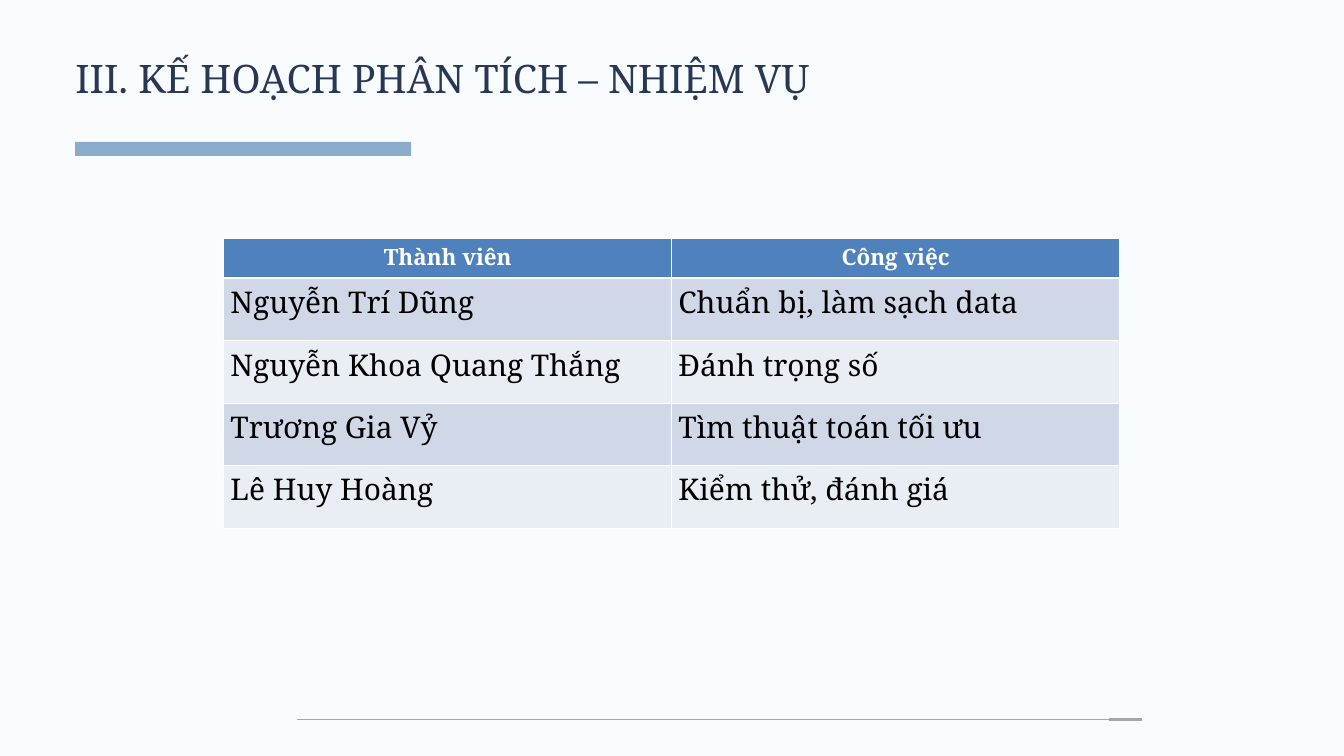
from dataclasses import dataclass

from lxml import etree
from pptx import Presentation
from pptx.dml.color import RGBColor
from pptx.enum.shapes import MSO_CONNECTOR, MSO_SHAPE
from pptx.enum.text import MSO_ANCHOR, MSO_AUTO_SIZE, PP_ALIGN
from pptx.oxml.ns import qn
from pptx.util import Inches, Pt

RECT = MSO_SHAPE.RECTANGLE
STRAIGHT = MSO_CONNECTOR.STRAIGHT
TOP = MSO_ANCHOR.TOP
GROW = MSO_AUTO_SIZE.SHAPE_TO_FIT_TEXT
LEFT, CENTER = PP_ALIGN.LEFT, PP_ALIGN.CENTER


@dataclass(frozen=True)
class Theme:
    font: str = "Noto Serif"
    back: str = "F9FCFF"
    navy: str = "273755"
    bar: str = "8AABCA"
    rule: str = "A6A6A6"
    head: str = "4F81BD"
    bands: tuple = ("D0D8E8", "E9EDF4")
    white: str = "FFFFFF"
    black: str = "000000"
    title_size: float = 42
    head_size: float = 24
    cell_size: float = 32


def rgb(code):
    return RGBColor.from_string(code)


def write(frame, text, font, size, color, bold=False, align=LEFT, space=None):
    para = frame.paragraphs[0]
    para.alignment = align
    if space:
        para.line_spacing = Pt(space)
    run = para.add_run()
    run.text = text
    run.font.name = font
    run.font.size = Pt(size)
    run.font.bold = bold
    run.font.color.rgb = rgb(color)


def border(cell, color, **widths):
    props = cell._tc.get_or_add_tcPr()
    for side, width in widths.items():
        line = etree.SubElement(props, qn(f"a:ln{side}"), w=str(Pt(width)))
        fill = etree.SubElement(line, qn("a:solidFill"))
        etree.SubElement(fill, qn("a:srgbClr"), val=color)


class Deck:
    def __init__(self, theme):
        self.theme = theme
        self.file = Presentation()
        self.file.slide_width = Inches(20)
        self.file.slide_height = Inches(11.25)
        self.slide = self.file.slides.add_slide(self.file.slide_layouts[5])
        fill = self.slide.background.fill
        fill.solid()
        fill.fore_color.rgb = rgb(theme.back)

    def title(self, text, x, y, w, h):
        shape = self.slide.shapes.title
        shape.left, shape.top = Inches(x), Inches(y)
        shape.width, shape.height = Inches(w), Inches(h)
        frame = shape.text_frame
        frame.margin_left = frame.margin_right = 0
        frame.margin_top = frame.margin_bottom = 0
        frame.vertical_anchor = TOP
        frame.word_wrap = True
        frame.auto_size = GROW
        look = self.theme
        write(frame, text, look.font, look.title_size, look.navy, space=58.8)

    def bar(self, x, y, w, h):
        shape = self.slide.shapes.add_shape(
            RECT, Inches(x), Inches(y), Inches(w), Inches(h))
        shape.shadow.inherit = False
        shape.fill.solid()
        shape.fill.fore_color.rgb = rgb(self.theme.bar)
        shape.line.fill.background()

    def rule(self, start, end, y, width):
        line = self.slide.shapes.add_connector(
            STRAIGHT, Inches(start), Inches(y), Inches(end), Inches(y))
        line.line.color.rgb = rgb(self.theme.rule)
        line.line.width = Pt(width)
        etree.SubElement(line._element.spPr, qn("a:effectLst"))

    def table(self, data, x, y, w, heights):
        look = self.theme
        grid = self.slide.shapes.add_table(
            len(data), len(data[0]), Inches(x), Inches(y),
            Inches(w), Inches(sum(heights))).table
        for r, (texts, height) in enumerate(zip(data, heights)):
            grid.rows[r].height = Inches(height)
            top = r == 0
            shade = look.head if top else look.bands[(r - 1) % 2]
            for c, text in enumerate(texts):
                cell = grid.cell(r, c)
                border(cell, look.white, L=1, R=1, T=1, B=3 if top else 1)
                cell.fill.solid()
                cell.fill.fore_color.rgb = rgb(shade)
                write(cell.text_frame, text, look.font,
                      look.head_size if top else look.cell_size,
                      look.white if top else look.black,
                      bold=top, align=CENTER if top else LEFT)


def main():
    deck = Deck(Theme())

    # Heading
    deck.bar(1.12, 2.11, 5, 0.21)
    deck.title("III. KẾ HOẠCH PHÂN TÍCH – NHIỆM VỤ", 1.12, 0.69, 13.54, 0.77)

    # Footer rule
    deck.rule(4.42, 16.5, 10.71, 0.75)
    deck.rule(16.5, 17, 10.71, 3)

    # Members and their tasks
    tasks = [
        ("Thành viên", "Công việc"),
        ("Nguyễn Trí Dũng", "Chuẩn bị, làm sạch data"),
        ("Nguyễn Khoa Quang Thắng", "Đánh trọng số"),
        ("Trương Gia Vỷ", "Tìm thuật toán tối ưu"),
        ("Lê Huy Hoàng", "Kiểm thử, đánh giá"),
    ]
    deck.table(tasks, 3.33, 3.54, 13.33, [0.6] + [0.93] * 4)

    deck.file.save("out.pptx")


if __name__ == "__main__":
    main()
